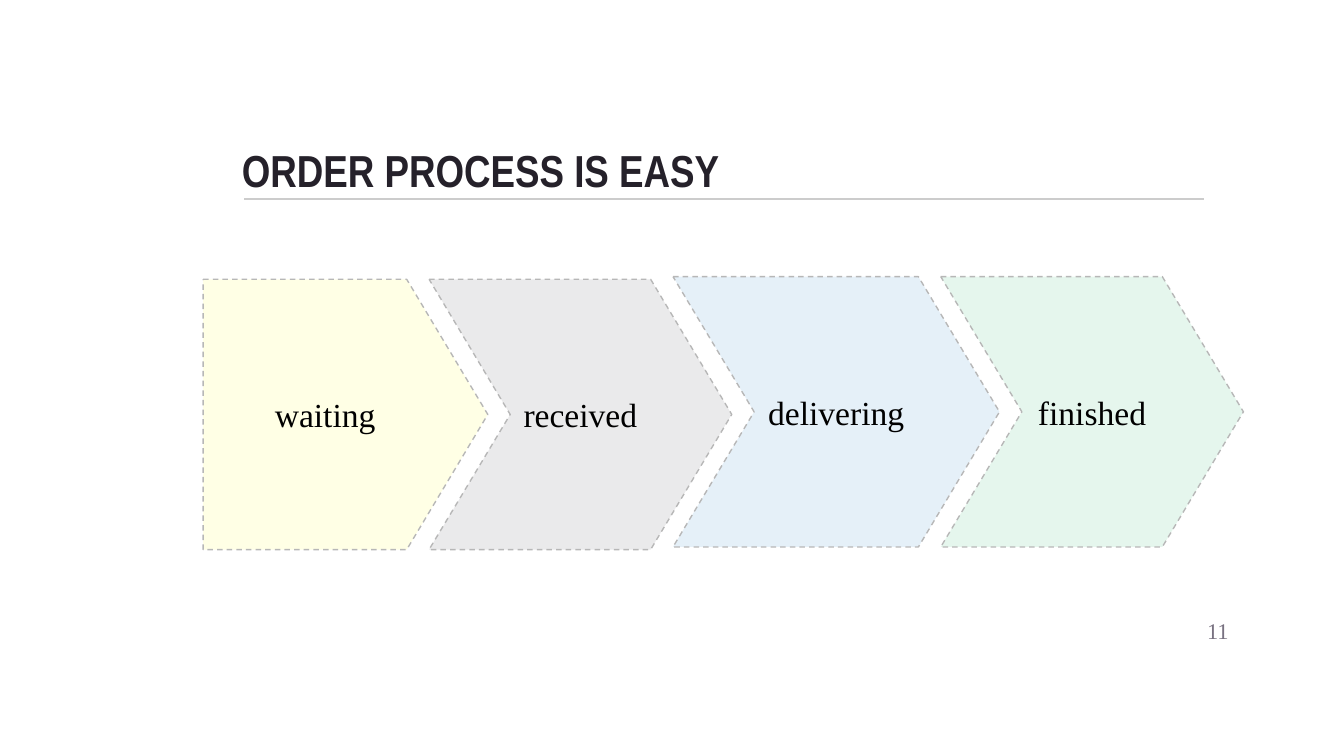
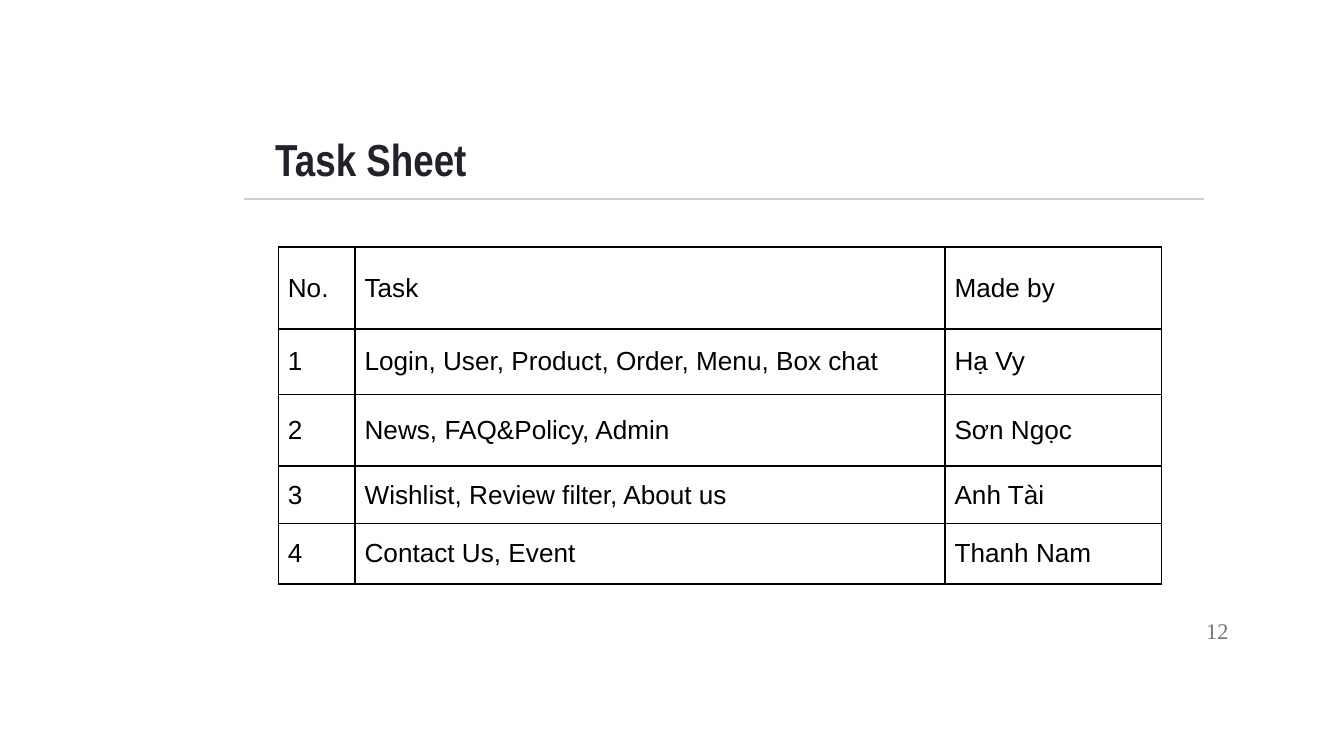
import lxml.etree
import pptx
import pptx.dml.color
import pptx.enum.dml
import pptx.enum.shapes
import pptx.enum.text
import pptx.oxml.ns
import pptx.util

Cm = pptx.util.Cm
Pt = pptx.util.Pt
RGB = pptx.dml.color.RGBColor
Shape = pptx.enum.shapes.MSO_SHAPE
Align = pptx.enum.text.PP_ALIGN
Anchor = pptx.enum.text.MSO_ANCHOR
qn = pptx.oxml.ns.qn

BLACK = RGB(0x00, 0x00, 0x00)
INK = RGB(0x25, 0x21, 0x2A)
MUTED = RGB(0x79, 0x72, 0x81)
RULE = RGB(0xCC, 0xCC, 0xCC)
EDGE = RGB(0xB7, 0xB7, 0xB7)
YELLOW = RGB(0xFF, 0xFF, 0x00)
PLUM = RGB(0x3A, 0x34, 0x42)
BLUE = RGB(0x00, 0x70, 0xC0)
GREEN = RGB(0x00, 0xB0, 0x50)

SERIF = "Times New Roman"
STEPS = [
    ("waiting", 5.38, 0.05, YELLOW, Shape.PENTAGON),
    ("received", 5.72, 0.05, PLUM, Shape.CHEVRON),
    ("delivering", 6.17, 0, BLUE, Shape.CHEVRON),
    ("finished", 5.72, 0, GREEN, Shape.CHEVRON),
]
TASKS = [
    ("No.", "Task", "Made by"),
    ("1", "Login, User, Product, Order, Menu, Box chat", "Hạ Vy"),
    ("2", "News, FAQ&Policy, Admin", "Sơn Ngọc"),
    ("3", "Wishlist, Review filter, About us", "Anh Tài"),
    ("4", "Contact Us, Event", "Thanh Nam"),
]


def write(frame, text, font=SERIF, size=18, color=BLACK, bold=False,
          align=Align.LEFT, anchor=Anchor.MIDDLE, pad=0.25):
    """Put formatted text in a frame."""
    frame.word_wrap = True
    frame.auto_size = pptx.enum.text.MSO_AUTO_SIZE.NONE
    frame.vertical_anchor = anchor
    frame.margin_left = frame.margin_right = Cm(pad)
    frame.margin_top = frame.margin_bottom = Cm(pad)
    style(frame.paragraphs[0], text, font, size, color, bold, align)


def style(para, text, font, size, color, bold, align):
    """Fill one paragraph and set its font."""
    para.text = text
    para.alignment = align
    para.font.name = font
    para.font.size = Pt(size)
    para.font.bold = bold
    para.font.color.rgb = color


def start(deck, title, left, top, number):
    """Add a slide with its title, rule and page number."""
    slide = deck.slides.add_slide(deck.slide_layouts[5])
    rule = slide.shapes.add_connector(
        pptx.enum.shapes.MSO_CONNECTOR.STRAIGHT,
        Cm(4.62), Cm(3.76), Cm(22.76), Cm(3.76))
    rule.line.color.rgb = RULE
    rule.line.width = Pt(0.75)
    lxml.etree.SubElement(rule._element.spPr, qn("a:effectLst"))
    head = slide.shapes.title
    head.left, head.top, head.width, head.height = (
        Cm(left), Cm(top), Cm(18.39), Cm(1.96))
    write(head.text_frame, title, font="Arial Narrow", size=24, color=INK,
          bold=True, anchor=Anchor.BOTTOM)
    page = slide.shapes.add_textbox(Cm(21.95), Cm(11.38), Cm(1.52), Cm(1.09))
    write(page.text_frame, str(number), size=12, color=MUTED,
          align=Align.RIGHT)
    return slide


def flow(slide, left, top, height, overlap=1.11):
    """Draw the order steps as a chain of arrows."""
    for text, width, drop, color, kind in STEPS:
        step = slide.shapes.add_shape(
            kind, Cm(left), Cm(top + drop), Cm(width), Cm(height))
        step.adjustments[0] = 0.3
        step.shadow.inherit = False
        step.fill.solid()
        step.fill.fore_color.rgb = color
        tint = step._element.spPr.find(qn("a:solidFill"))[0]
        lxml.etree.SubElement(tint, qn("a:alpha"), val="10000")
        step.line.color.rgb = EDGE
        step.line.width = Pt(0.75)
        step.line.dash_style = pptx.enum.dml.MSO_LINE.DASH
        write(step.text_frame, text, align=Align.CENTER)
        left += width - overlap


def border(cell):
    """Draw a thin black line on each side of a cell."""
    props = cell._tc.get_or_add_tcPr()
    for side in "LRTB":
        line = lxml.etree.SubElement(
            props, qn("a:ln" + side), w=str(Pt(0.75)))
        fill = lxml.etree.SubElement(line, qn("a:solidFill"))
        lxml.etree.SubElement(fill, qn("a:srgbClr"), val=str(BLACK))


def sheet(slide, left, top, cols, rows):
    """Draw the task table."""
    frame = slide.shapes.add_table(
        len(rows), len(cols), Cm(left), Cm(top), Cm(sum(cols)), Cm(sum(rows)))
    table = frame.table
    table.first_row = table.horz_banding = False
    for col, width in zip(table.columns, cols):
        col.width = Cm(width)
    for row, height, texts in zip(table.rows, rows, TASKS):
        row.height = Cm(height)
        for cell, text in zip(row.cells, texts):
            cell.vertical_anchor = Anchor.MIDDLE
            cell.margin_left = cell.margin_right = Cm(0.18)
            cell.margin_top = cell.margin_bottom = 0
            style(cell.text_frame.paragraphs[0], text, "Arial", 14, BLACK,
                  False, Align.LEFT if text == "Task" else Align.JUSTIFY)
            border(cell)
            cell.fill.background()


def main():
    """Build and save the deck."""
    deck = pptx.Presentation()
    deck.slide_width, deck.slide_height = Cm(25.4), Cm(14.29)
    order = start(deck, "ORDER PROCESS IS EASY", 4.32, 2.01, 11)
    flow(order, 3.84, 5.23, 5.11)
    tasks = start(deck, "Task Sheet", 4.95, 1.8, 12)
    sheet(tasks, 5.26, 4.67, [1.45, 11.15, 4.09],
          [1.55, 1.24, 1.35, 1.09, 1.14])
    deck.save("out.pptx")


if __name__ == "__main__":
    main()
